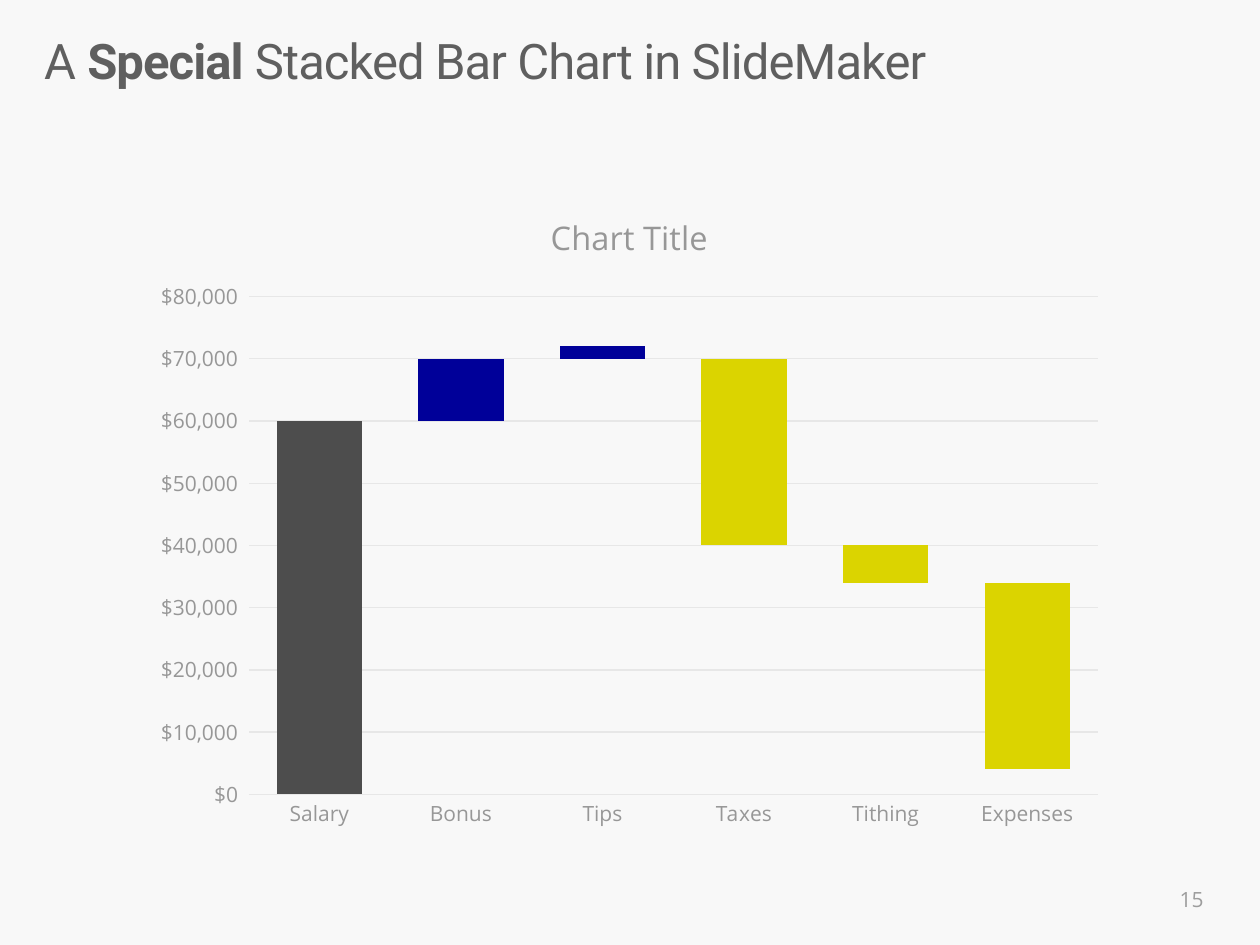
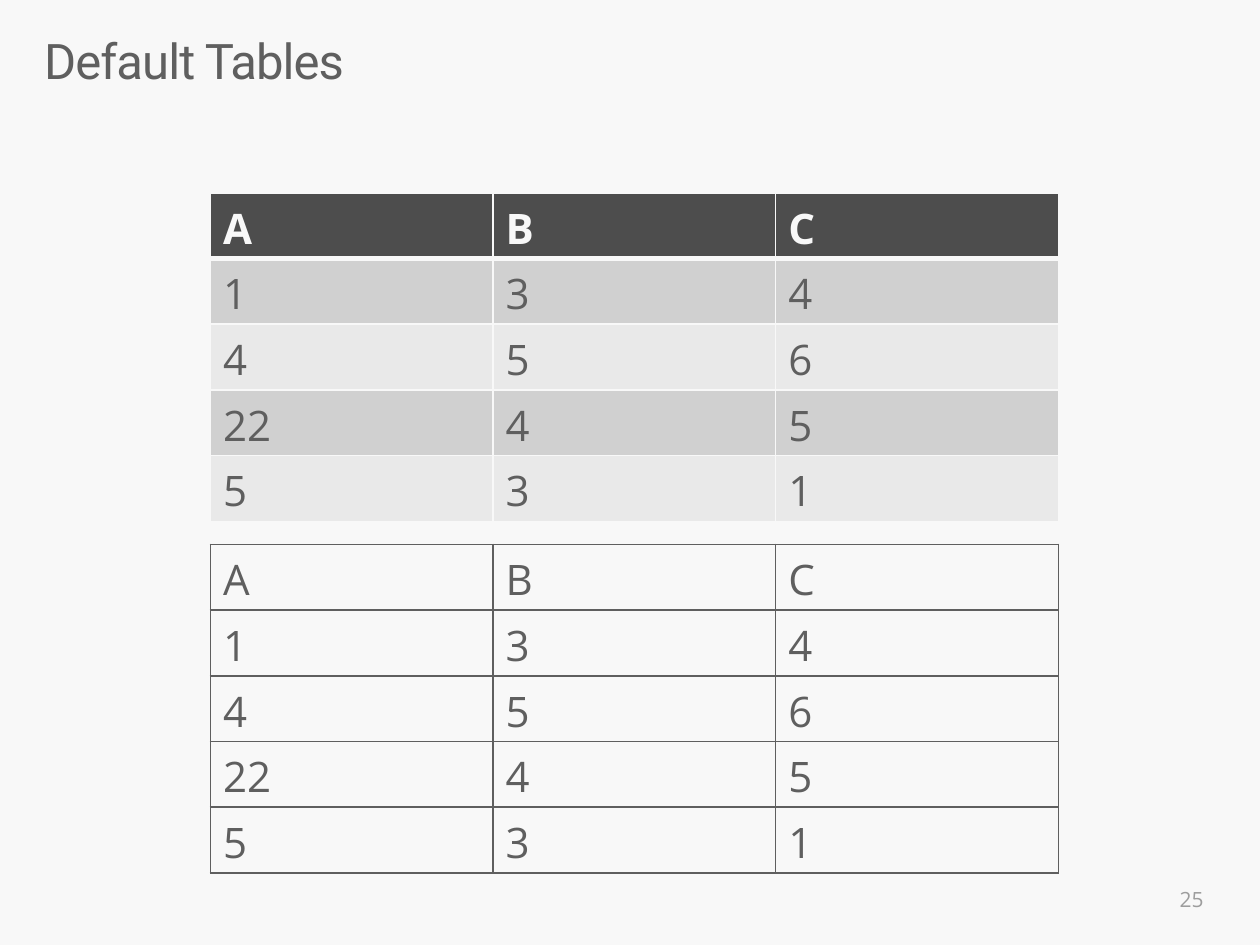
"""Build two slides: a waterfall-style stacked column chart and a pair of tables."""
from lxml.etree import SubElement
from pptx import Presentation
from pptx.chart.data import CategoryChartData
from pptx.dml.color import RGBColor
from pptx.enum.chart import XL_CHART_TYPE, XL_TICK_MARK
from pptx.enum.text import MSO_ANCHOR, PP_ALIGN
from pptx.oxml import parse_xml
from pptx.oxml.ns import nsdecls, qn
from pptx.util import Inches, Pt

PAPER = RGBColor(0xF8, 0xF8, 0xF8)
INK = RGBColor(0x5F, 0x5F, 0x5F)
CHARCOAL = RGBColor(0x4D, 0x4D, 0x4D)
MUTED = RGBColor(0x97, 0x97, 0x97)
NUMBER_GREY = RGBColor(0x9D, 0x9D, 0x9D)
GRID_GREY = RGBColor(0xE7, 0xE7, 0xE7)
NAVY = RGBColor(0x00, 0x00, 0x99)
YELLOW = RGBColor(0xDB, 0xD4, 0x00)
DARK_BAND = RGBColor(0xD0, 0xD0, 0xD0)
LIGHT_BAND = RGBColor(0xE9, 0xE9, 0xE9)
HEADING_FACE, BODY_FACE = "Roboto", "Open Sans"


def style_font(font, size, color, face=BODY_FACE, bold=False):
    font.size, font.name, font.bold = Pt(size), face, bold
    font.color.rgb = color


def draw_border(cell, edge, color, width):
    border = SubElement(cell._tc.get_or_add_tcPr(), qn(f"a:ln{edge}"), w=str(Pt(width)))
    SubElement(SubElement(border, qn("a:solidFill")), qn("a:srgbClr"), val=str(color))


deck = Presentation()
deck.slide_width, deck.slide_height = Inches(10), Inches(7.5)

headings = [
    ([("A ", False), ("Special", True), (" Stacked Bar Chart in SlideMaker", False)], "15"),
    ([("Default Tables", False)], "25"),
]
slides = []
for heading, page in headings:
    slide = deck.slides.add_slide(deck.slide_layouts[6])
    slide.background.fill.solid()
    slide.background.fill.fore_color.rgb = PAPER
    slides.append(slide)

    title = slide.shapes.add_textbox(Inches(0.35), Inches(0.31), Inches(9.29), Inches(0.89)).text_frame
    title.word_wrap = True
    title.margin_left = title.margin_top = title.margin_right = title.margin_bottom = 0
    title_line = title.paragraphs[0]
    title_line.line_spacing = 0.86
    for words, bold in heading:
        run = title_line.add_run()
        run.text = words
        style_font(run.font, 28, INK, HEADING_FACE, bold)
        run.font._element.set("spc", "-50")

    page_number = slide.shapes.add_textbox(Inches(7.4), Inches(6.94), Inches(2.25), Inches(0.4)).text_frame
    page_number.word_wrap = True
    page_number.vertical_anchor = MSO_ANCHOR.MIDDLE
    page_number.text = page
    page_number.paragraphs[0].alignment = PP_ALIGN.RIGHT
    style_font(page_number.paragraphs[0].font, 12, NUMBER_GREY)

chart_slide, table_slide = slides

budget = CategoryChartData()
budget.categories = ["Salary", "Bonus", "Tips", "Taxes", "Tithing", "Expenses"]
budget.add_series("Series 1", [60000, 60000, 70000, 40000, 34000, 4000])
budget.add_series("Series 2", [None, 10000, 2000, 30000, 6000, 30000])
waterfall = chart_slide.shapes.add_chart(
    XL_CHART_TYPE.COLUMN_STACKED, Inches(1.12), Inches(1.47), Inches(7.75), Inches(5.2), budget
).chart
style_font(waterfall.font, 10, INK)
waterfall.has_legend = False
waterfall.has_title = True
waterfall.chart_title.text_frame.text = "Chart Title"
style_font(waterfall.chart_title.text_frame.paragraphs[0].font, 18.6, MUTED)
waterfall.chart_title.include_in_layout = False

plot = waterfall.plots[0]
plot.gap_width, plot.overlap, plot.vary_by_categories = 66, 100, False
base, change = plot.series
for series, color in ((base, CHARCOAL), (change, NAVY)):
    series.format.fill.solid()
    series.format.fill.fore_color.rgb = color
    series.invert_if_negative = False
for month_item in range(1, 6):
    base.points[month_item].format.fill.background()
for deduction in range(3, 6):
    fill = change.points[deduction].format.fill
    fill.solid()
    fill.fore_color.rgb = YELLOW

categories, amounts = waterfall.category_axis, waterfall.value_axis
for axis in (categories, amounts):
    axis.major_tick_mark = axis.minor_tick_mark = XL_TICK_MARK.NONE
    style_font(axis.tick_labels.font, 12, MUTED)
amounts.minimum_scale, amounts.maximum_scale, amounts.major_unit = 0, 80000, 10000
amounts.tick_labels.number_format = '"$"#,##0_);[Red]\\("$"#,##0\\)'
amounts.tick_labels.number_format_is_linked = False
amounts.format.line.fill.background()
for line in (categories.format.line, amounts.major_gridlines.format.line):
    line.color.rgb = GRID_GREY
    line.width = Pt(0.75)

plot_area = waterfall._chartSpace.chart.plotArea
for old_layout in plot_area.findall(qn("c:layout")):
    plot_area.remove(old_layout)
plot_area.insert(0, parse_xml(
    f'<c:layout {nsdecls("c")}><c:manualLayout><c:layoutTarget val="inner"/>'
    '<c:xMode val="edge"/><c:yMode val="edge"/>'
    '<c:x val="0.11"/><c:y val="0.17"/><c:w val="0.87"/><c:h val="0.76"/>'
    '</c:manualLayout></c:layout>'))

figures = [("A", "B", "C"), ("1", "3", "4"), ("4", "5", "6"), ("22", "4", "5"), ("5", "3", "1")]
for top, banded in ((1.53, True), (4.32, False)):
    grid = table_slide.shapes.add_table(
        len(figures), 3, Inches(1.67), Inches(top), Inches(6.73), Inches(2.61)
    ).table
    grid.first_row = grid.horz_banding = banded
    for row, values in enumerate(figures):
        header = banded and row == 0
        for column, value in enumerate(values):
            cell = grid.cell(row, column)
            cell.text = value
            style_font(cell.text_frame.paragraphs[0].font, 24, PAPER if header else INK, bold=header)
            for edge in "LRTB":
                heavy = banded and (row, edge) in ((0, "B"), (1, "T"))
                draw_border(cell, edge, PAPER if banded else INK, 3 if heavy else 1)
            if banded:
                cell.fill.solid()
                cell.fill.fore_color.rgb = CHARCOAL if header else (LIGHT_BAND, DARK_BAND)[row % 2]
            else:
                cell.fill.background()

deck.save("out.pptx")
